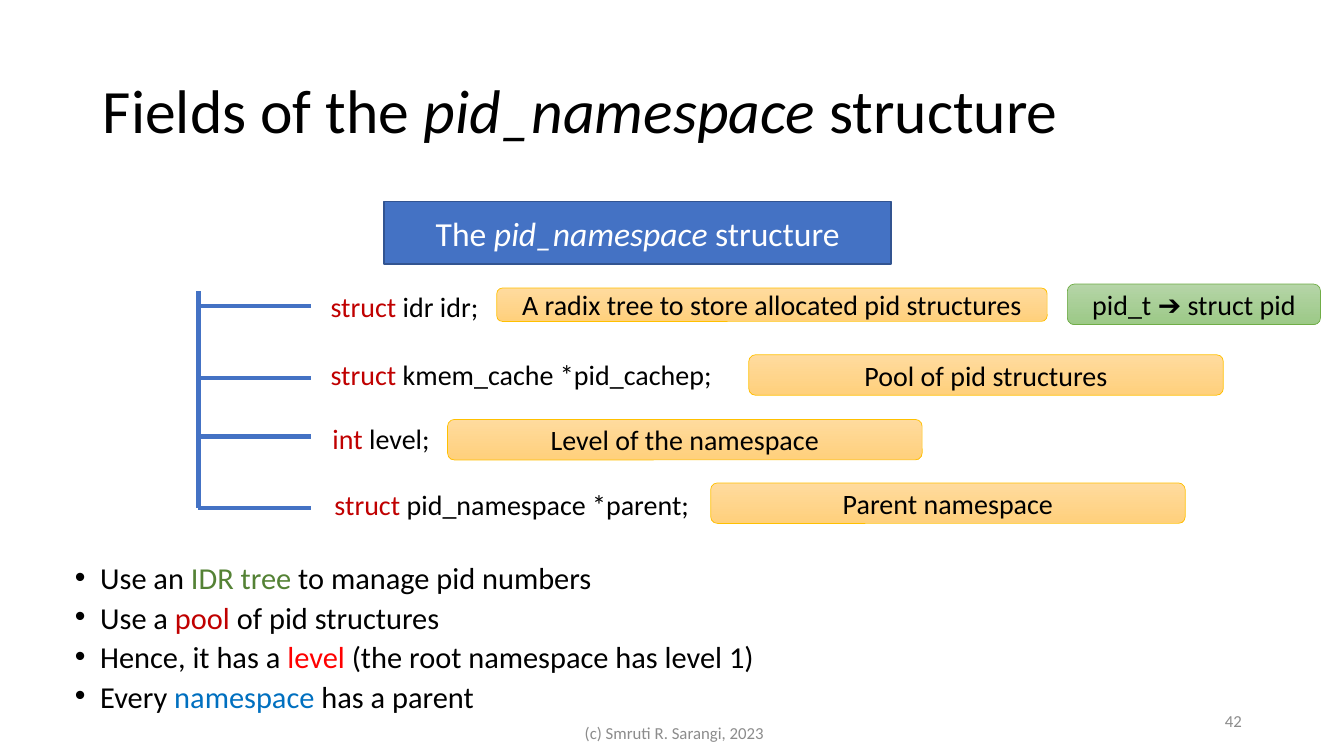
from collections import namedtuple

from lxml.etree import SubElement
from pptx import Presentation
from pptx.dml.color import RGBColor
from pptx.enum.shapes import MSO_CONNECTOR, MSO_SHAPE
from pptx.enum.text import MSO_ANCHOR, MSO_AUTO_SIZE, PP_ALIGN
from pptx.oxml.ns import qn
from pptx.util import Cm, Pt

COLORS = {
    "black": "000000", "white": "FFFFFF", "grey": "8C8C8C",
    "blue": "4472C4", "navy": "325491", "sky": "0070C0",
    "crimson": "C00000", "red": "FF0000", "leaf": "548235",
    "gold": "FFC000", "gold top": "FFDB9E", "gold bottom": "FFD07C",
    "green": "70AD47", "green top": "B5D5A7", "green bottom": "9CC987",
}
Box = namedtuple("Box", "left top width height")
Field = namedtuple("Field", "branch label_left label_top label_width keyword name note note_box")

FIELDS = [
    Field(0.38, 3.08, -0.18, 4.45, "struct ", "idr idr;",
          "A radix tree to store allocated pid structures", Box(7.52, -0.08, 13.87, 0.84)),
    Field(2.19, 3.08, 1.55, 10.39, "struct ", "kmem_cache *pid_cachep;",
          "Pool of pid structures", Box(13.87, 1.6, 11.96, 1.02)),
    Field(3.66, 3.13, 3.15, 3.15, "int ", "level;",
          "Level of the namespace", Box(6.28, 3.23, 11.96, 1.02)),
    Field(5.46, 3.18, 4.83, 9.7, "struct ", "pid_namespace *parent;",
          "Parent namespace", Box(12.91, 4.83, 11.96, 1.02)),
]
BULLETS = [
    [("Use an ", "black"), ("IDR tree ", "leaf"), ("to manage pid numbers", "black")],
    [("Use a ", "black"), ("pool", "crimson"), (" of pid structures", "black")],
    [("Hence, it has a ", "black"), ("level", "red"),
     (" (the root namespace has level 1)", "black")],
    [("Every ", "black"), ("namespace", "sky"), (" has a parent", "black")],
]


def color(name):
    return RGBColor.from_string(COLORS[name])


def lengths(box):
    return [Cm(value) for value in box]


def inside(outer, box):
    return Box(outer.left + box.left, outer.top + box.top, box.width, box.height)


def place(shape, box):
    shape.left, shape.top, shape.width, shape.height = lengths(box)


def write_spans(para, spans, size, align=PP_ALIGN.LEFT):
    para.alignment = align
    para.font.name = "Calibri"
    para.font.size = Pt(size)
    for text, name in spans:
        span = para.add_run()
        span.text = text
        span.font.color.rgb = color(name)


def write_heading(para, before, after, size, name, align=PP_ALIGN.LEFT):
    write_spans(para, [(before, name), ("pid_namespace ", name), (after, name)], size, align)
    para.runs[1].font.italic = True


def add_title(page, box):
    title = page.shapes.title
    place(title, box)
    title.text_frame.vertical_anchor = MSO_ANCHOR.MIDDLE
    para = title.text_frame.paragraphs[0]
    para.line_spacing = 0.9
    write_heading(para, "Fields of the ", "structure", 44, "black")


def add_bullets(page, box):
    body = page.placeholders[1]
    place(body, box)
    frame = body.text_frame
    frame.auto_size = MSO_AUTO_SIZE.NONE
    for index, spans in enumerate(BULLETS):
        para = frame.add_paragraph() if index else frame.paragraphs[0]
        properties = para._p.get_or_add_pPr()
        properties.set("marL", str(Cm(0.64)))
        properties.set("indent", str(-Cm(0.64)))
        SubElement(properties, qn("a:buFont")).set("typeface", "Arial")
        SubElement(properties, qn("a:buChar")).set("char", "•")
        para.line_spacing = 0.7
        para.space_before = Pt(10 if index else 0)
        write_spans(para, spans, 21.7)


def add_header(page, box):
    header = page.shapes.add_shape(MSO_SHAPE.RECTANGLE, *lengths(box))
    header.shadow.inherit = False
    header.fill.solid()
    header.fill.fore_color.rgb = color("blue")
    header.line.color.rgb = color("navy")
    header.line.width = Pt(1)
    header.text_frame.vertical_anchor = MSO_ANCHOR.MIDDLE
    write_heading(header.text_frame.paragraphs[0], "The ", "structure", 24, "white",
                  PP_ALIGN.CENTER)


def add_note(page, box, text, hue):
    note = page.shapes.add_shape(MSO_SHAPE.ROUNDED_RECTANGLE, *lengths(box))
    note.shadow.inherit = False
    note.fill.gradient()
    note.fill.gradient_angle = 270
    for stop, end in zip(note.fill.gradient_stops, ("top", "bottom")):
        stop.color.rgb = color(f"{hue} {end}")
    note.line.color.rgb = color(hue)
    note.line.width = Pt(0.5)
    note.text_frame.vertical_anchor = MSO_ANCHOR.MIDDLE
    write_spans(note.text_frame.paragraphs[0], [(text, "black")], 20, PP_ALIGN.CENTER)


def add_line(page, left, top, right, bottom):
    line = page.shapes.add_connector(
        MSO_CONNECTOR.STRAIGHT, Cm(left), Cm(top), Cm(right), Cm(bottom))
    line.line.color.rgb = color("blue")
    line.line.width = Pt(3)
    SubElement(line._element.spPr, qn("a:effectLst"))


def add_field_tree(page, box):
    add_line(page, box.left, box.top, box.left, box.top + box.height)
    for field in FIELDS:
        branch = box.top + field.branch
        add_line(page, box.left, branch, box.left + 2.85, branch)
        label_box = Box(field.label_left, field.label_top, field.label_width, 1.11)
        label = page.shapes.add_textbox(*lengths(inside(box, label_box)))
        label.text_frame.word_wrap = False
        label.text_frame.auto_size = MSO_AUTO_SIZE.SHAPE_TO_FIT_TEXT
        write_spans(label.text_frame.paragraphs[0],
                    [(field.keyword, "crimson"), (field.name, "black")], 20)
        add_note(page, inside(box, field.note_box), field.note, "gold")
    add_note(page, inside(box, Box(21.9, -0.18, 6.38, 1.02)), "pid_t ➔ struct pid", "green")


def add_footer_text(page, box, text, align):
    footer = page.shapes.add_textbox(*lengths(box))
    footer.text_frame.word_wrap = True
    footer.text_frame.vertical_anchor = MSO_ANCHOR.MIDDLE
    write_spans(footer.text_frame.paragraphs[0], [(text, "grey")], 12, align)


def main():
    deck = Presentation()
    deck.slide_width, deck.slide_height = Cm(33.87), Cm(19.05)
    page = deck.slides.add_slide(deck.slide_layouts[1])
    add_title(page, Box(2.34, 1.02, 29.21, 3.68))
    add_bullets(page, Box(1.63, 14.22, 29.21, 4.09))
    add_header(page, Box(9.68, 5.08, 12.78, 1.57))
    add_field_tree(page, Box(5, 7.34, 28.28, 5.46))
    add_footer_text(page, Box(11.28, 17.96, 11.43, 1.02), "(c) Smruti R. Sarangi, 2023",
                    PP_ALIGN.CENTER)
    add_footer_text(page, Box(23.93, 17.65, 7.62, 1.02), "42", PP_ALIGN.RIGHT)
    deck.save("out.pptx")


if __name__ == "__main__":
    main()
